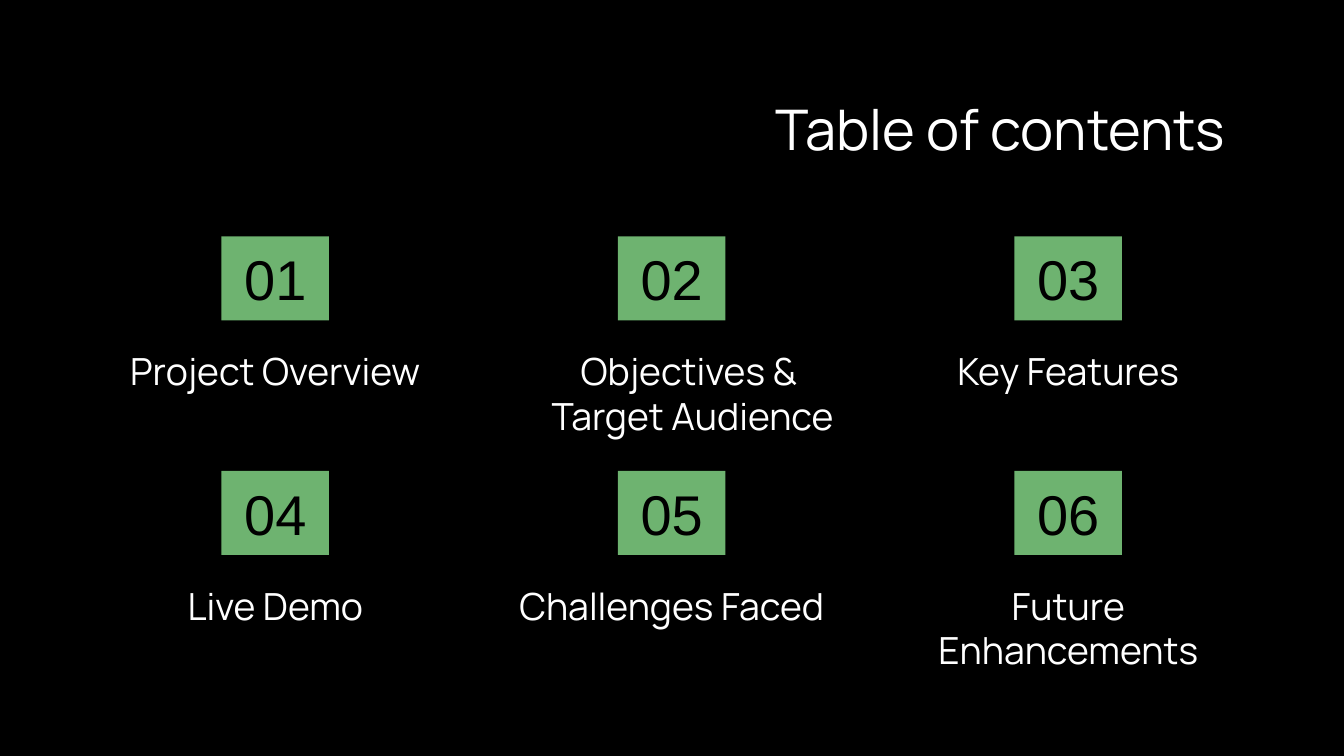
"""Build a table of contents slide with six numbered topics."""
from dataclasses import dataclass

from lxml import etree
from pptx import Presentation
from pptx.dml.color import RGBColor
from pptx.enum.shapes import MSO_SHAPE
from pptx.enum.text import MSO_ANCHOR, MSO_AUTO_SIZE, PP_ALIGN
from pptx.oxml.ns import qn
from pptx.slide import Slide
from pptx.util import Pt

RECTANGLE = MSO_SHAPE.RECTANGLE
TOP, MIDDLE = MSO_ANCHOR.TOP, MSO_ANCHOR.MIDDLE
CENTER, RIGHT = PP_ALIGN.CENTER, PP_ALIGN.RIGHT
NO_AUTOFIT = MSO_AUTO_SIZE.NONE

COLORS = {"background": "000000", "badge": "85D887", "number": "000000", "text": "FFFFFF"}
BADGE_ALPHA = 83
COLUMNS = 3
GRID_LEFT, GRID_TOP = 56.8, 126.7
COLUMN_PITCH, ROW_PITCH = 212.4, 125.6
COLUMN_WIDTH = 181.4
BADGE_WIDTH, BADGE_HEIGHT = 57.6, 45
TOPIC_OFFSET, TOPIC_HEIGHT = 52.7, 38


@dataclass(frozen=True)
class Topic:
    label: str
    width: float = COLUMN_WIDTH


TOPICS = [
    Topic("Project Overview"),
    Topic("Objectives & \vTarget Audience", 203.8),
    Topic("Key Features"),
    Topic("Live Demo"),
    Topic("Challenges Faced"),
    Topic("Future Enhancements"),
]


def write(shape, text: str, font_name: str, size: float, color: str, align=CENTER, anchor=TOP) -> None:
    frame = shape.text_frame
    frame.text = text
    frame.word_wrap = True
    frame.auto_size = NO_AUTOFIT
    frame.vertical_anchor = anchor
    frame.margin_left = frame.margin_right = frame.margin_top = frame.margin_bottom = Pt(7.2)
    paragraph = frame.paragraphs[0]
    paragraph.alignment = align
    paragraph.font.name = font_name
    paragraph.font.size = Pt(size)
    paragraph.font.color.rgb = RGBColor.from_string(COLORS[color])


def add_title(slide: Slide) -> None:
    title = slide.shapes.title
    title.left, title.top, title.width, title.height = Pt(56.2), Pt(43.2), Pt(607.6), Pt(45.4)
    write(title, "Table of contents", "Manrope", 30, "text", align=RIGHT)


def add_badge(slide: Slide, number: int, left: float, top: float) -> None:
    badge = slide.shapes.add_shape(RECTANGLE, Pt(left), Pt(top), Pt(BADGE_WIDTH), Pt(BADGE_HEIGHT))
    badge.shadow.inherit = False
    badge.fill.solid()
    badge.fill.fore_color.rgb = RGBColor.from_string(COLORS["badge"])
    fill_color = badge.element.spPr.find(qn("a:solidFill")).find(qn("a:srgbClr"))
    etree.SubElement(fill_color, qn("a:alpha"), val=str(BADGE_ALPHA * 1000))
    badge.line.fill.background()
    write(badge, f"{number:02d}", "Arial", 30, "number", anchor=MIDDLE)


def add_topic(slide: Slide, index: int, topic: Topic) -> None:
    row, column = divmod(index, COLUMNS)
    left = GRID_LEFT + column * COLUMN_PITCH
    top = GRID_TOP + row * ROW_PITCH
    add_badge(slide, index + 1, left + (COLUMN_WIDTH - BADGE_WIDTH) / 2, top)
    label = slide.shapes.add_textbox(Pt(left), Pt(top + TOPIC_OFFSET), Pt(topic.width), Pt(TOPIC_HEIGHT))
    write(label, topic.label, "Manrope", 20, "text")


def main() -> None:
    presentation = Presentation()
    presentation.slide_width, presentation.slide_height = Pt(720), Pt(405)
    slide = presentation.slides.add_slide(presentation.slide_layouts[5])
    slide.background.fill.solid()
    slide.background.fill.fore_color.rgb = RGBColor.from_string(COLORS["background"])
    add_title(slide)
    for index, topic in enumerate(TOPICS):
        add_topic(slide, index, topic)
    presentation.save("out.pptx")


if __name__ == "__main__":
    main()
